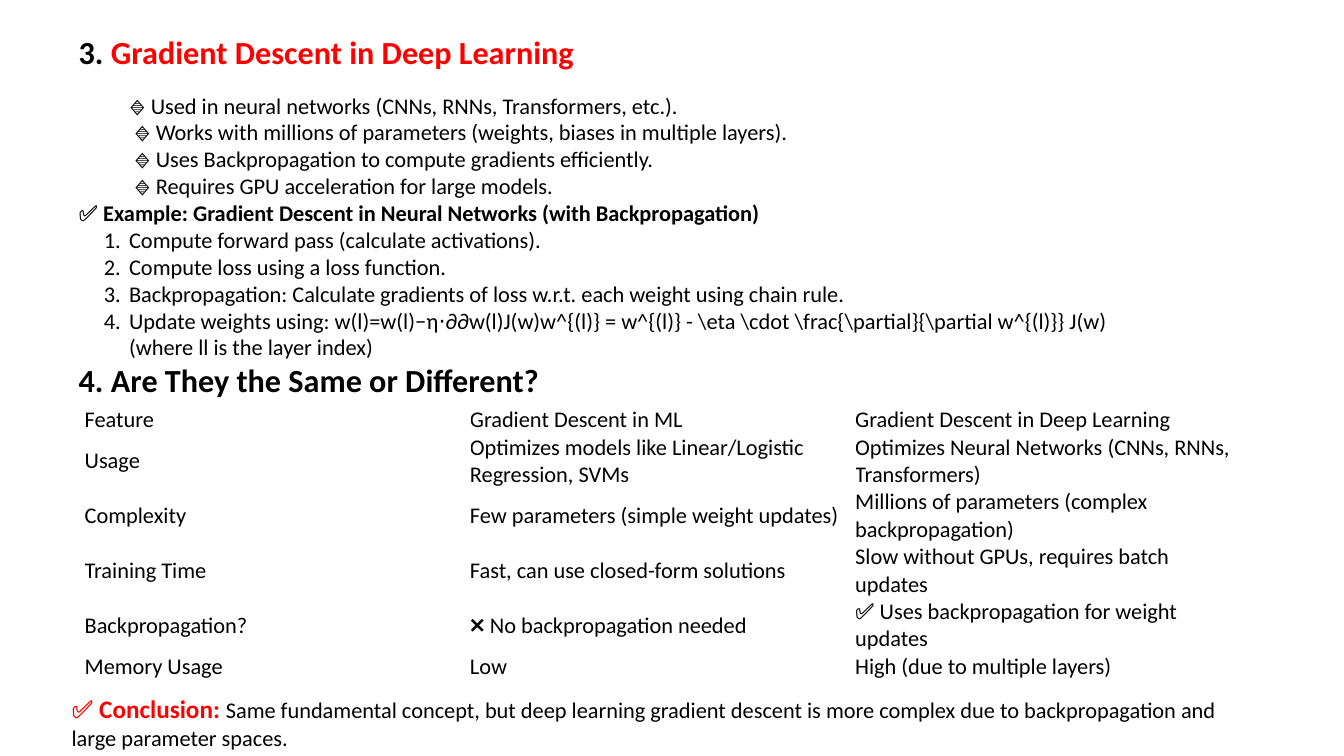
from lxml import etree
from pptx import Presentation, util as u
from pptx.dml.color import RGBColor
from pptx.enum import text
from pptx.oxml import ns

COLORS = {"ink": "000000", "accent": "FF0000"}
FONT = "Calibri"
PLAIN = {"size": 16, "bold": False, "color": "ink"}
BOLD = {**PLAIN, "bold": True}
HEADING = {"size": 23, "bold": True, "color": "ink"}
HEADING_ACCENT = {**HEADING, "color": "accent"}
CALLOUT = {"size": 18, "bold": True, "color": "accent"}
LINE_HEIGHT = 19.3

POINTS = [
    "🔹 Used in neural networks (CNNs, RNNs, Transformers, etc.).",
    "🔹 Works with millions of parameters (weights, biases in multiple layers).",
    "🔹 Uses Backpropagation to compute gradients efficiently.",
    "🔹 Requires GPU acceleration for large models.",
]
STEPS = [
    "Compute forward pass (calculate activations).",
    "Compute loss using a loss function.",
    "Backpropagation: Calculate gradients of loss w.r.t. each weight using chain rule.",
    r"Update weights using: w(l)=w(l)−η⋅∂∂w(l)J(w)w^{(l)} = w^{(l)} - \eta \cdot "
    r"\frac{\partial}{\partial w^{(l)}} J(w) (where ll is the layer index)",
]
COMPARISON = [
    ("Feature", "Gradient Descent in ML", "Gradient Descent in Deep Learning"),
    ("Usage", "Optimizes models like Linear/Logistic Regression, SVMs",
     "Optimizes Neural Networks (CNNs, RNNs, Transformers)"),
    ("Complexity", "Few parameters (simple weight updates)",
     "Millions of parameters (complex backpropagation)"),
    ("Training Time", "Fast, can use closed-form solutions",
     "Slow without GPUs, requires batch updates"),
    ("Backpropagation?", "❌ No backpropagation needed",
     "✅ Uses backpropagation for weight updates"),
    ("Memory Usage", "Low", "High (due to multiple layers)"),
]
ROW_LINES = [1, 2, 2, 2, 2, 1]


def place(shape, box):
    for name, value in zip(("left", "top", "width", "height"), box):
        setattr(shape, name, u.Pt(value))


def set_frame(frame, **values):
    settings = {"word_wrap": True, "auto_size": text.MSO_AUTO_SIZE.NONE,
                "vertical_anchor": text.MSO_ANCHOR.TOP, **values}
    for name, value in settings.items():
        setattr(frame, name, value)


def add_spans(para, spans):
    para.alignment = text.PP_ALIGN.LEFT
    for words, style in spans:
        span = para.add_run()
        span.text = words
        span.font.name = FONT
        span.font.size = u.Pt(style["size"])
        span.font.bold = style["bold"]
        span.font.color.rgb = RGBColor.from_string(COLORS[style["color"]])


def set_bullet(para, indent, numbered):
    properties = para._p.get_or_add_pPr()
    properties.set("marL", str(u.Pt(indent)))
    properties.set("indent", str(u.Pt(-18 if numbered else 0)))
    tag = "a:buAutoNum" if numbered else "a:buNone"
    bullet = etree.SubElement(properties, ns.qn(tag))
    if numbered:
        bullet.set("type", "arabicPeriod")


def add_title(page, box):
    title = page.shapes.title
    place(title, box)
    set_frame(title.text_frame)
    add_spans(title.text_frame.paragraphs[0],
              [("3.", HEADING), (" Gradient Descent in Deep Learning", HEADING_ACCENT)])


def add_body(page, box):
    body = page.placeholders[1]
    place(body, box)
    frame = body.text_frame
    set_frame(frame, margin_top=0)
    # Each entry: spans, level, indent, numbered
    entries = [([(point, PLAIN)], 1, 36 if i == 0 else 39.6, False)
               for i, point in enumerate(POINTS)]
    example = "Example: Gradient Descent in Neural Networks (with Backpropagation)"
    entries.append(([("✅ ", PLAIN), (example, BOLD)], 0, 0, False))
    entries += [([(step, PLAIN)], 1, 36, True) for step in STEPS]
    entries.append(([("4. Are They the Same or Different?", HEADING)], 0, 0, False))
    for i, (spans, level, indent, numbered) in enumerate(entries):
        para = frame.paragraphs[0] if i == 0 else frame.add_paragraph()
        para.level = level
        para.space_before = u.Pt(0)
        set_bullet(para, indent, numbered)
        add_spans(para, spans)


def add_comparison(page, box):
    frame = page.shapes.add_table(len(COMPARISON), 3, *map(u.Pt, box))
    table = frame.table
    table.first_row = table.horz_banding = False
    for column in table.columns:
        column.width = u.Pt(box[2] / 3)
    for row, lines, words in zip(table.rows, ROW_LINES, COMPARISON):
        row.height = u.Pt(lines * LINE_HEIGHT)
        for cell, label in zip(row.cells, words):
            cell.fill.background()
            cell.vertical_anchor = text.MSO_ANCHOR.MIDDLE
            for side in ("left", "top", "right", "bottom"):
                setattr(cell, f"margin_{side}", 0)
            add_spans(cell.text_frame.paragraphs[0], [(label, PLAIN)])


def add_conclusion(page, box):
    frame = page.shapes.add_textbox(*map(u.Pt, box)).text_frame
    set_frame(frame, margin_top=u.Pt(36), margin_bottom=0)
    add_spans(frame.paragraphs[0], [
        ("✅ Conclusion: ", CALLOUT),
        ("Same fundamental concept, but deep learning gradient descent is more complex "
         "due to backpropagation and large parameter spaces.", PLAIN)])


def main():
    deck = Presentation()
    deck.slide_width, deck.slide_height = u.Pt(960), u.Pt(540)
    page = deck.slides.add_slide(deck.slide_layouts[1])
    add_title(page, (49, 19.5, 795.6, 40))
    add_body(page, (49, 65.5, 795.6, 231))
    add_comparison(page, (60.5, 290.2, 825.6, sum(ROW_LINES) * LINE_HEIGHT))
    add_conclusion(page, (44, 459.4, 863.3, 80))
    deck.save("out.pptx")


if __name__ == "__main__":
    main()
